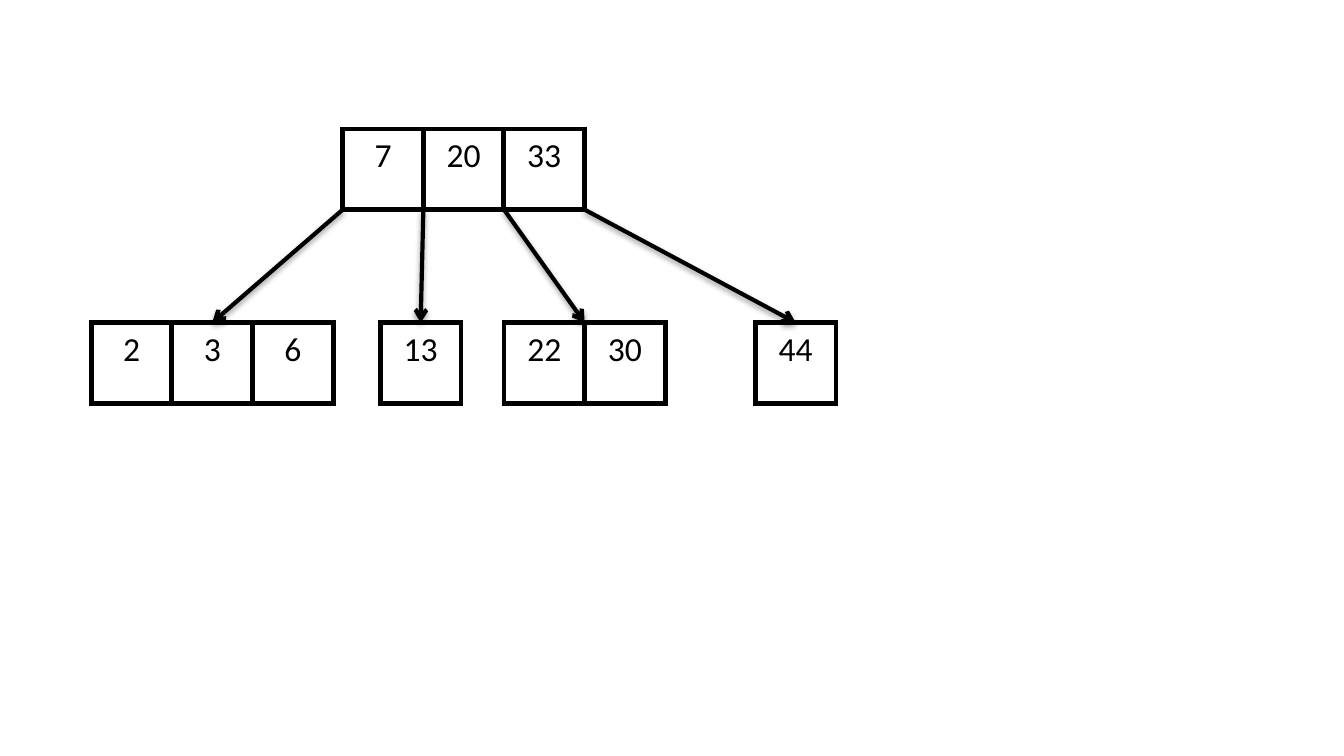
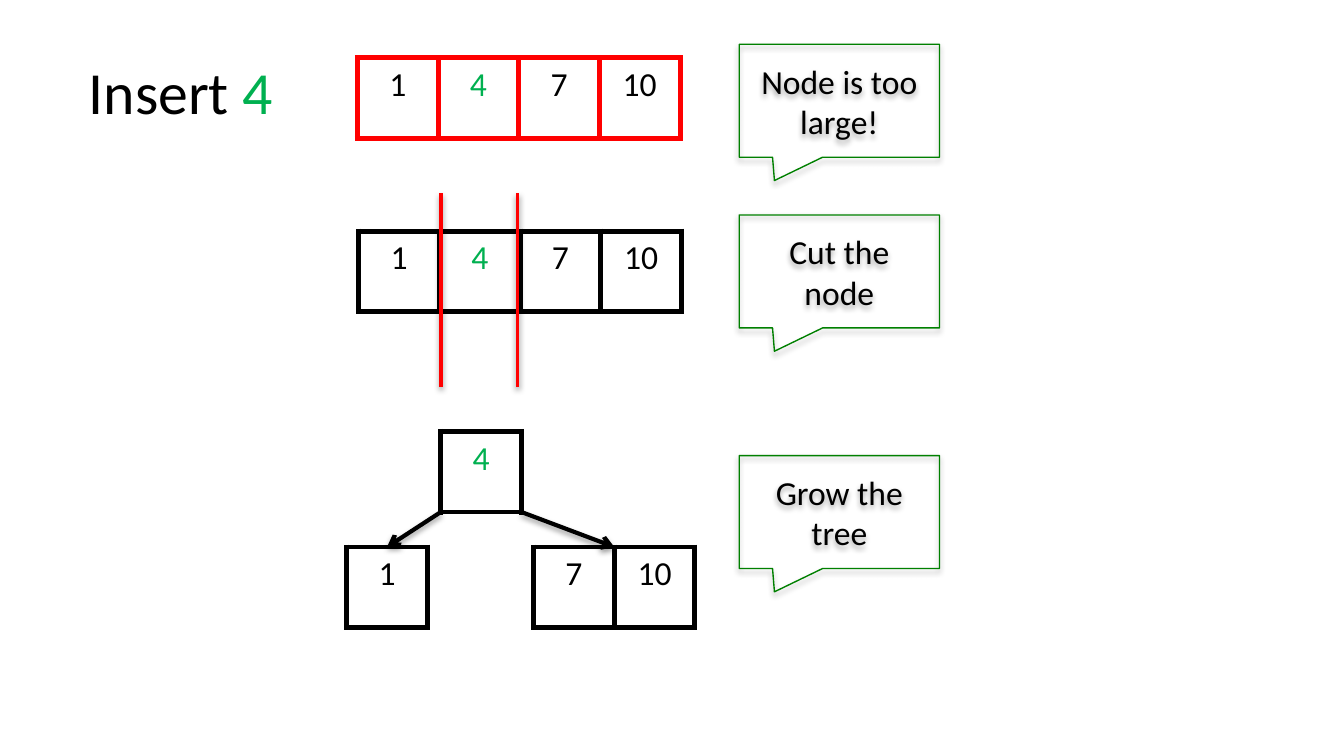
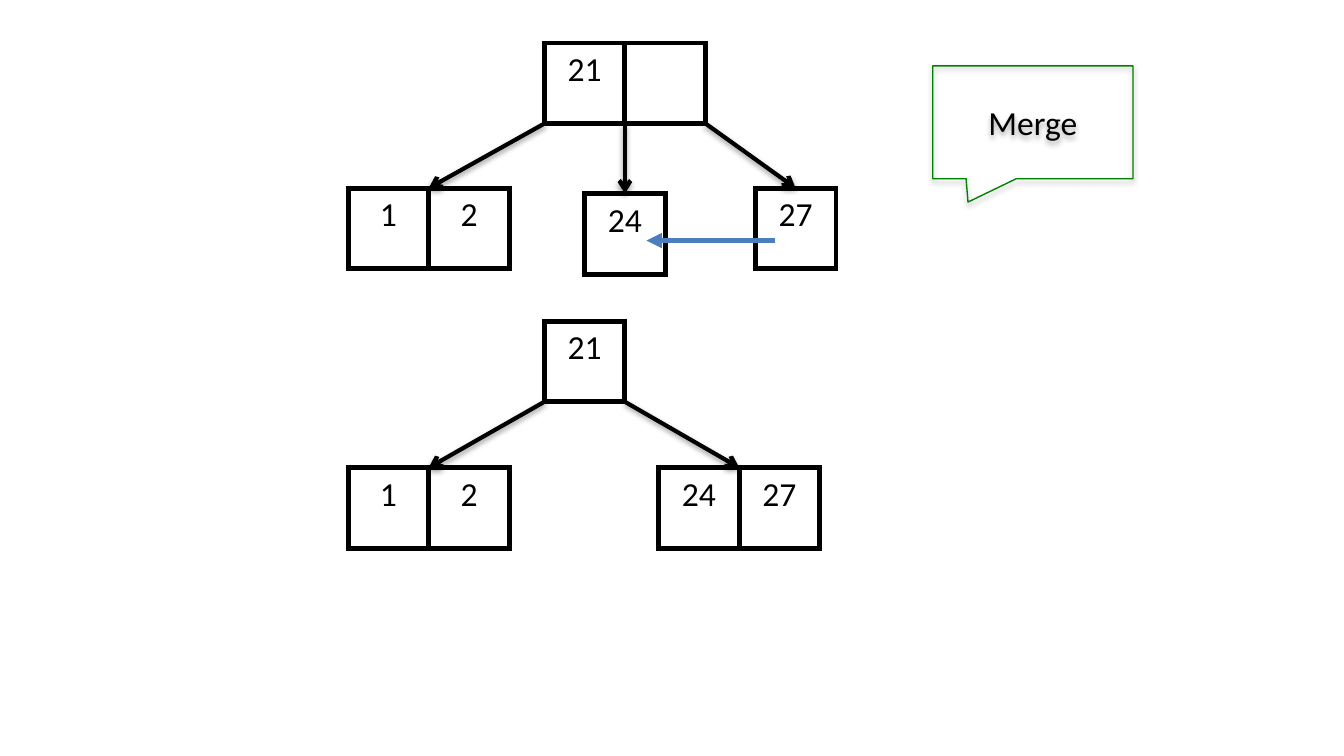
from lxml import etree
from pptx import Presentation
from pptx.dml.color import RGBColor
from pptx.enum.shapes import MSO_CONNECTOR, MSO_SHAPE
from pptx.enum.text import MSO_ANCHOR, MSO_AUTO_SIZE, PP_ALIGN
from pptx.oxml import parse_xml
from pptx.oxml.ns import nsdecls, qn
from pptx.util import Inches, Pt

STRAIGHT = MSO_CONNECTOR.STRAIGHT
CALLOUT = MSO_SHAPE.RECTANGULAR_CALLOUT
LEFT, CENTER = PP_ALIGN.LEFT, PP_ALIGN.CENTER
TOP, MIDDLE = MSO_ANCHOR.TOP, MSO_ANCHOR.MIDDLE

BLACK = RGBColor(0x00, 0x00, 0x00)
RED = RGBColor(0xFF, 0x00, 0x00)
INSERTED = RGBColor(0x00, 0xB0, 0x50)
CALLOUT_GREEN = RGBColor(0x00, 0x80, 0x00)
MERGE_BLUE = RGBColor(0x4B, 0x7E, 0xBC)

FONT = "Calibri"
TITLE_ONLY, BLANK = 5, 6
SLIDE_WIDTH = 10
SLIDE_HEIGHT = SLIDE_WIDTH * 9 / 16
CELL = 0.6
CALLOUT_WIDTH, CALLOUT_HEIGHT = 1.49, 0.84
CALLOUT_TIP = (-0.324, 0.707)

# A node is (left, top, keys); a tree is a root node and its child nodes.
SEARCH_TREE = (
    (2.55, 0.96, ["7", "20", "33"]),
    [
        (0.68, 2.4, ["2", "3", "6"]),
        (2.83, 2.4, ["13"]),
        (3.75, 2.4, ["22", "30"]),
        (5.62, 2.4, ["44"]),
    ],
)

NEW_KEY = "4"
OVERFULL_KEYS = ["1", NEW_KEY, "7", "10"]
OVERFULL_NODE = (2.66, 0.43, OVERFULL_KEYS)
CUT_NODE = (2.67, 1.72, OVERFULL_KEYS)
CUT_LINES, CUT_TOP, CUT_BOTTOM = (3.28, 3.85), 1.44, 2.88
GROWN_TREE = (
    (3.28, 3.21, [NEW_KEY]),
    [(2.58, 4.07, ["1"]), (3.97, 4.07, ["7", "10"])],
)
INSERT_STEPS = [
    (5.5, 0.33, "Node is too large!"),
    (5.5, 1.6, "Cut the node"),
    (5.5, 3.39, "Grow the tree"),
]

UNMERGED_TREE = (
    (4.05, 0.32, ["21", ""]),
    [(2.59, 1.4, ["1", "2"]), (4.35, 1.44, ["24"]), (5.62, 1.4, ["27"])],
)
MERGED_TREE = (
    (4.05, 2.39, ["21"]),
    [(2.59, 3.48, ["1", "2"]), (4.9, 3.48, ["24", "27"])],
)
MERGE_STEP = (6.94, 0.49, "Merge")
MERGE_START, MERGE_END = (5.77, 1.79), (4.81, 1.79)


def set_font(target, size, color):
    target.font.name = FONT
    target.font.size = Pt(size)
    target.font.color.rgb = color


def set_shadow(shape, opacity, distance):
    """Replace the theme effect; zero opacity leaves the shape without a shadow."""
    properties = shape.element.spPr
    for effects in properties.findall(qn("a:effectLst")):
        properties.remove(effects)
    effects = etree.SubElement(properties, qn("a:effectLst"))
    if opacity:
        effects.append(parse_xml(
            f'<a:outerShdw {nsdecls("a")} blurRad="{Pt(3.1)}" dist="{Pt(distance)}" '
            f'dir="5400000" rotWithShape="0"><a:srgbClr val="{BLACK}">'
            f'<a:alpha val="{opacity * 1000}"/></a:srgbClr></a:outerShdw>'))


def add_line(slide, start, end, color=BLACK, width=2.25, head=None, opacity=38):
    points = [Inches(value) for value in (*start, *end)]
    connector = slide.shapes.add_connector(STRAIGHT, *points)
    connector.line.color.rgb = color
    connector.line.width = Pt(width)
    if head:
        outline = connector.element.spPr.find(qn("a:ln"))
        etree.SubElement(outline, qn("a:tailEnd"), type=head)
    set_shadow(connector, opacity, 1.6)


def set_borders(cell, color):
    properties = cell._tc.get_or_add_tcPr()
    for side in ("lnL", "lnR", "lnT", "lnB"):
        properties.append(parse_xml(
            f'<a:{side} {nsdecls("a")} w="{Pt(3)}"><a:solidFill>'
            f'<a:srgbClr val="{color}"/></a:solidFill></a:{side}>'))


def add_node(slide, node, border=BLACK, new_key=None):
    left, top, keys = node
    frame = slide.shapes.add_table(
        1, len(keys), Inches(left), Inches(top),
        Inches(CELL * len(keys)), Inches(CELL))
    table = frame.table
    table.first_row = table.horz_banding = False
    for cell, key in zip(table.rows[0].cells, keys):
        set_borders(cell, border)
        cell.fill.background()
        cell.text = key
        paragraph = cell.text_frame.paragraphs[0]
        paragraph.alignment = CENTER
        set_font(paragraph, 18, INSERTED if key == new_key else BLACK)


def add_tree(slide, tree, new_key=None):
    """Draw the nodes, with an arrow from each root cell edge to a child's top."""
    root, children = tree
    add_node(slide, root, new_key=new_key)
    left, top, _ = root
    for index, child in enumerate(children):
        add_node(slide, child)
        child_left, child_top, keys = child
        add_line(slide, (left + index * CELL, top + CELL),
                 (child_left + len(keys) * CELL / 2, child_top), head="arrow")


def add_callout(slide, left, top, text):
    shape = slide.shapes.add_shape(
        CALLOUT, Inches(left), Inches(top),
        Inches(CALLOUT_WIDTH), Inches(CALLOUT_HEIGHT))
    for index, offset in enumerate(CALLOUT_TIP):
        shape.adjustments[index] = offset
    shape.fill.background()
    shape.line.color.rgb = CALLOUT_GREEN
    shape.line.width = Pt(0.75)
    set_shadow(shape, 35, 1.8)
    frame = shape.text_frame
    frame.word_wrap = True
    frame.vertical_anchor = MIDDLE
    frame.text = text
    paragraph = frame.paragraphs[0]
    paragraph.alignment = CENTER
    set_font(paragraph, 18, BLACK)


def add_insert_title(slide):
    title = slide.shapes.title
    title.left, title.top = Inches(0.56), Inches(0.36)
    title.width, title.height = Inches(2.1), Inches(0.64)
    frame = title.text_frame
    frame.word_wrap = True
    frame.auto_size = MSO_AUTO_SIZE.NONE
    frame.vertical_anchor = TOP
    paragraph = frame.paragraphs[0]
    paragraph.alignment = LEFT
    for text, color in (("Insert ", BLACK), (NEW_KEY, INSERTED)):
        run = paragraph.add_run()
        run.text = text
        set_font(run, 32, color)


def add_slide(presentation, layout):
    return presentation.slides.add_slide(presentation.slide_layouts[layout])


def build_search_slide(presentation):
    add_tree(add_slide(presentation, BLANK), SEARCH_TREE)


def build_insert_slide(presentation):
    slide = add_slide(presentation, TITLE_ONLY)
    add_insert_title(slide)
    add_node(slide, OVERFULL_NODE, RED, NEW_KEY)
    add_node(slide, CUT_NODE, new_key=NEW_KEY)
    for x in CUT_LINES:
        add_line(slide, (x, CUT_BOTTOM), (x, CUT_TOP), RED, 2)
    add_tree(slide, GROWN_TREE, NEW_KEY)
    for step in INSERT_STEPS:
        add_callout(slide, *step)


def build_merge_slide(presentation):
    slide = add_slide(presentation, BLANK)
    add_tree(slide, UNMERGED_TREE)
    add_line(slide, MERGE_START, MERGE_END, MERGE_BLUE, 2.75, "triangle", opacity=0)
    add_callout(slide, *MERGE_STEP)
    add_tree(slide, MERGED_TREE)


def main():
    presentation = Presentation()
    presentation.slide_width = Inches(SLIDE_WIDTH)
    presentation.slide_height = Inches(SLIDE_HEIGHT)
    build_search_slide(presentation)
    build_insert_slide(presentation)
    build_merge_slide(presentation)
    presentation.save("out.pptx")


if __name__ == "__main__":
    main()
